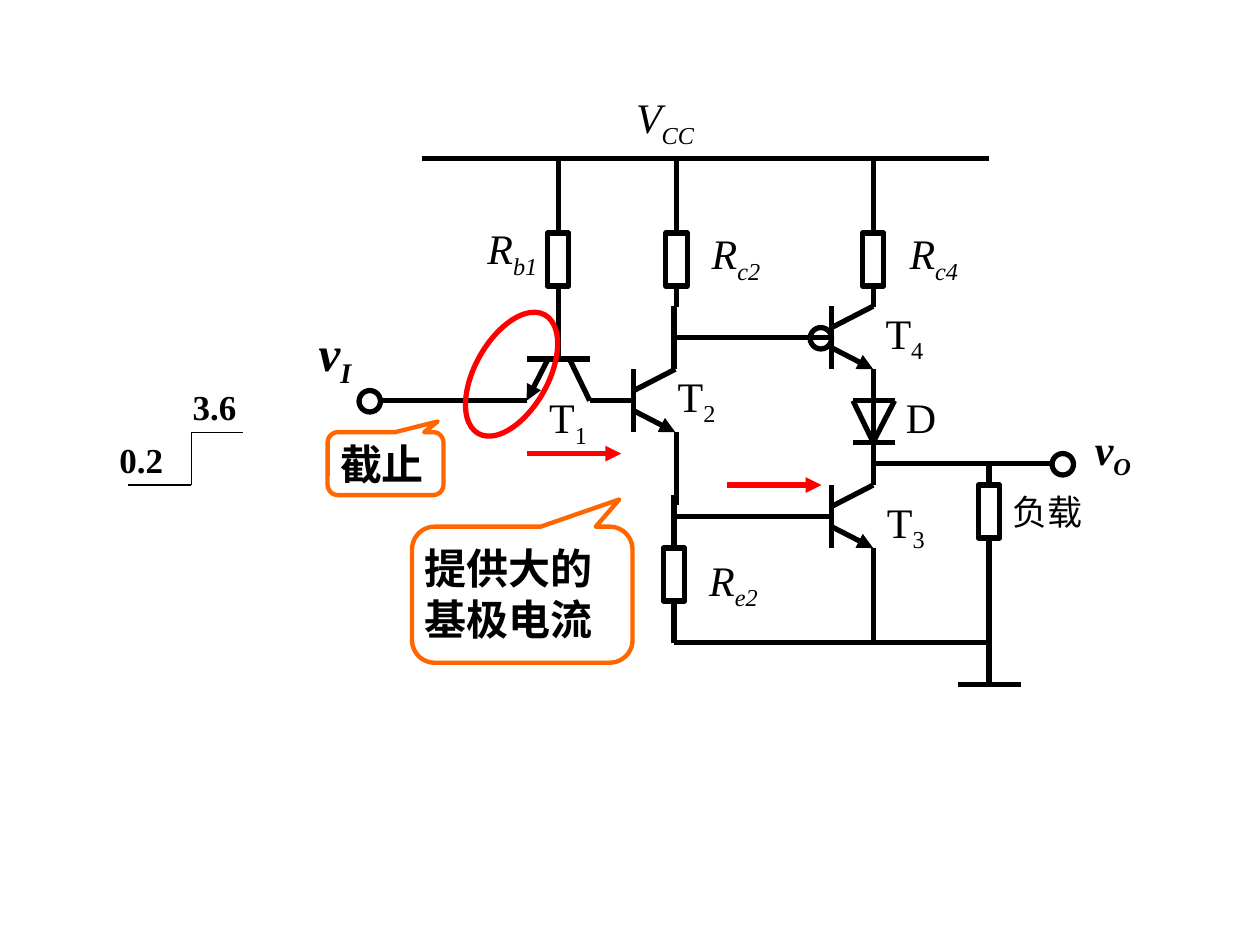
from lxml.etree import SubElement
from pptx import Presentation
from pptx.dml.color import RGBColor
from pptx.enum.shapes import MSO_CONNECTOR, MSO_SHAPE
from pptx.enum.text import MSO_AUTO_SIZE
from pptx.oxml.ns import qn
from pptx.util import Inches, Pt

BLACK = RGBColor(0x00, 0x00, 0x00)
WHITE = RGBColor(0xFF, 0xFF, 0xFF)
RED = RGBColor(0xFF, 0x00, 0x00)
ORANGE = RGBColor(0xFF, 0x66, 0x00)
FONT = "Times New Roman"

RAIL, GROUND, OUTPUT = 1.26, 5.1, 3.68
T1_X, T2_X, T4_X, LOAD_X = 4.43, 5.37, 6.93, 7.85
RESISTOR_WIDTH, RESISTOR_HEIGHT, LEAD = 0.17, 0.42, 0.17
TERMINAL = 0.17

# Each wire is a path of points
WIRES = [
    [(3.35, RAIL), (LOAD_X, RAIL)],
    [(T1_X, RAIL), (T1_X, 1.68)],
    [(T2_X, RAIL), (T2_X, 1.68)],
    [(T4_X, RAIL), (T4_X, 1.68)],
    [(T1_X, 2.43), (T1_X, 2.68), (T1_X, 2.85)],
    [(3.02, 3.18), (4.18, 3.18)],
    [(4.18, 2.85), (4.68, 2.85)],
    [(4.52, 2.85), (4.68, 3.18), (4.86, 3.18)],
    [(5.35, 2.43), (5.35, 2.93)],
    [(5.35, 2.68), (6.43, 2.68)],
    [(T2_X, 3.43), (T2_X, 4.01)],
    [(5.35, 3.93), (5.35, 4.18)],
    [(5.35, 4.1), (6.43, 4.1)],
    [(5.35, 4.93), (5.35, GROUND), (LOAD_X, GROUND)],
    [(T4_X, 2.93), (T4_X, OUTPUT), (T4_X, 3.85)],
    [(6.77, 3.51), (7.1, 3.51)],
    [(6.77, 3.18), (7.1, 3.18), (T4_X, 3.51), (6.77, 3.18)],
    [(T4_X, OUTPUT), (LOAD_X, OUTPUT), (8.35, OUTPUT)],
    [(T4_X, 4.35), (T4_X, GROUND)],
    [(LOAD_X, 4.43), (LOAD_X, GROUND), (LOAD_X, 5.43)],
    [(7.6, 5.43), (8.1, 5.43)],
]
INPUT_STEP = [(1.02, 3.85), (1.52, 3.85), (1.52, 3.43), (1.93, 3.43)]
CURRENT_ARROWS = [[(4.18, 3.6), (4.93, 3.6)], [(5.77, 3.85), (6.52, 3.85)]]
RESISTORS = [(T1_X, 1.85), (T2_X, 1.85), (T4_X, 1.85), (5.35, 4.35), (LOAD_X, 3.85)]
TRANSISTORS = [(5.03, 3.18), (6.6, 2.68), (6.6, 4.1)]
# left, top, fill
TERMINALS = [(2.85, 3.1, WHITE), (6.43, 2.6, None), (8.35, 3.6, WHITE)]

# text, subscript, left, top, width, height, size, style, wrap
LABELS = [
    ("V", "CC", 4.95, 0.68, 0.7, 0.56, 24, "i", False),
    ("R", "b1", 3.77, 1.72, 0.65, 0.56, 24, "i", False),
    ("R", "c2", 5.55, 1.76, 0.65, 0.56, 24, "i", False),
    ("R", "c4", 7.12, 1.76, 0.65, 0.56, 24, "i", False),
    ("R", "e2", 5.53, 4.35, 0.65, 0.56, 24, "i", False),
    ("T", "1", 4.26, 3.06, 0.52, 0.56, 24, "", False),
    ("T", "2", 5.28, 2.89, 0.52, 0.56, 24, "", False),
    ("T", "3", 6.94, 3.89, 0.52, 0.56, 24, "", False),
    ("T", "4", 6.93, 2.39, 0.52, 0.56, 24, "", False),
    ("D", "", 7.09, 3.06, 0.45, 0.5, 24, "", False),
    ("负载", "", 7.94, 3.84, 0.8, 0.44, 20, "", False),
    ("v", "O", 8.59, 3.31, 0.52, 0.56, 24, "bi", False),
    ("v", "I", 2.43, 2.51, 0.92, 0.63, 28, "bi", True),
    ("0.2", "", 0.85, 3.43, 0.83, 0.44, 20, "b", True),
    ("3.6", "", 1.43, 3.01, 0.83, 0.44, 20, "b", True),
    ("截止", "", 2.6, 3.43, 1.25, 0.5, 24, "b", True),
    ("提供大的基极电流", "", 3.27, 4.26, 1.67, 0.9, 24, "b", True),
]
# left, top, width, height, pointer position
CALLOUTS = [
    (2.6, 3.43, 0.92, 0.5, (0.45, -0.67)),
    (3.27, 4.18, 1.75, 1.08, (0.44, -0.7)),
]


def add_path(slide, points, color=BLACK, width=3, arrow=False):
    """Join the points with straight lines."""
    for start, end in zip(points, points[1:]):
        line = slide.shapes.add_connector(
            MSO_CONNECTOR.STRAIGHT, *(Inches(value) for value in start + end))
        line.line.color.rgb = color
        line.line.width = Pt(width)
        if arrow:
            SubElement(line.line._get_or_add_ln(), qn("a:tailEnd"), type="triangle")
        SubElement(line._element.spPr, qn("a:effectLst"))


def add_outline(slide, kind, box, color=BLACK, width=3, fill=None):
    shape = slide.shapes.add_shape(kind, *(Inches(value) for value in box))
    shape.shadow.inherit = False
    if fill is None:
        shape.fill.background()
    else:
        shape.fill.solid()
        shape.fill.fore_color.rgb = fill
    shape.line.color.rgb = color
    shape.line.width = Pt(width)
    return shape


def add_resistor(slide, x, top):
    bottom = top + RESISTOR_HEIGHT
    add_outline(slide, MSO_SHAPE.RECTANGLE,
                (x - RESISTOR_WIDTH / 2, top, RESISTOR_WIDTH, RESISTOR_HEIGHT))
    add_path(slide, [(x, top - LEAD), (x, top)])
    add_path(slide, [(x, bottom), (x, bottom + LEAD)])


def add_transistor(slide, x, y):
    add_path(slide, [(x - LEAD, y), (x, y)])
    add_path(slide, [(x, y - 0.25), (x, y + 0.25)])
    add_path(slide, [(x, y - 0.08), (x + 0.33, y - 0.25)])
    add_path(slide, [(x, y + 0.08), (x + 0.33, y + 0.25)], arrow=True)


def add_label(slide, text, subscript, left, top, width, height, size, style, wrap):
    box = slide.shapes.add_textbox(
        Inches(left), Inches(top), Inches(width), Inches(height))
    frame = box.text_frame
    frame.word_wrap = wrap
    frame.auto_size = MSO_AUTO_SIZE.SHAPE_TO_FIT_TEXT
    paragraph = frame.paragraphs[0]
    paragraph.add_run().text = text
    if subscript:
        run = paragraph.add_run()
        run.text = subscript
        run.font._element.set("baseline", "-25000")
    font = paragraph.font
    font.name = FONT
    font.size = Pt(size)
    font.bold = "b" in style
    font.italic = "i" in style
    font.color.rgb = BLACK


def main():
    presentation = Presentation()
    presentation.slide_width = Inches(10)
    presentation.slide_height = Inches(7.5)
    slide = presentation.slides.add_slide(presentation.slide_layouts[6])

    for wire in WIRES:
        add_path(slide, wire)
    for resistor in RESISTORS:
        add_resistor(slide, *resistor)
    for transistor in TRANSISTORS:
        add_transistor(slide, *transistor)
    add_path(slide, [(4.35, 2.85), (4.18, 3.18)], arrow=True)  # T1 emitter
    for left, top, fill in TERMINALS:
        add_outline(slide, MSO_SHAPE.OVAL, (left, top, TERMINAL, TERMINAL), fill=fill)
    add_path(slide, INPUT_STEP, width=0.75)

    for arrow in CURRENT_ARROWS:
        add_path(slide, arrow, RED, arrow=True)
    highlight = add_outline(slide, MSO_SHAPE.OVAL, (3.77, 2.43, 0.58, 1.08), RED)
    highlight.rotation = 29.3
    for *box, pointer in CALLOUTS:
        callout = add_outline(
            slide, MSO_SHAPE.ROUNDED_RECTANGULAR_CALLOUT, box, ORANGE, 2.5)
        callout.adjustments[0], callout.adjustments[1] = pointer
    for label in LABELS:
        add_label(slide, *label)

    presentation.save("out.pptx")


if __name__ == "__main__":
    main()
